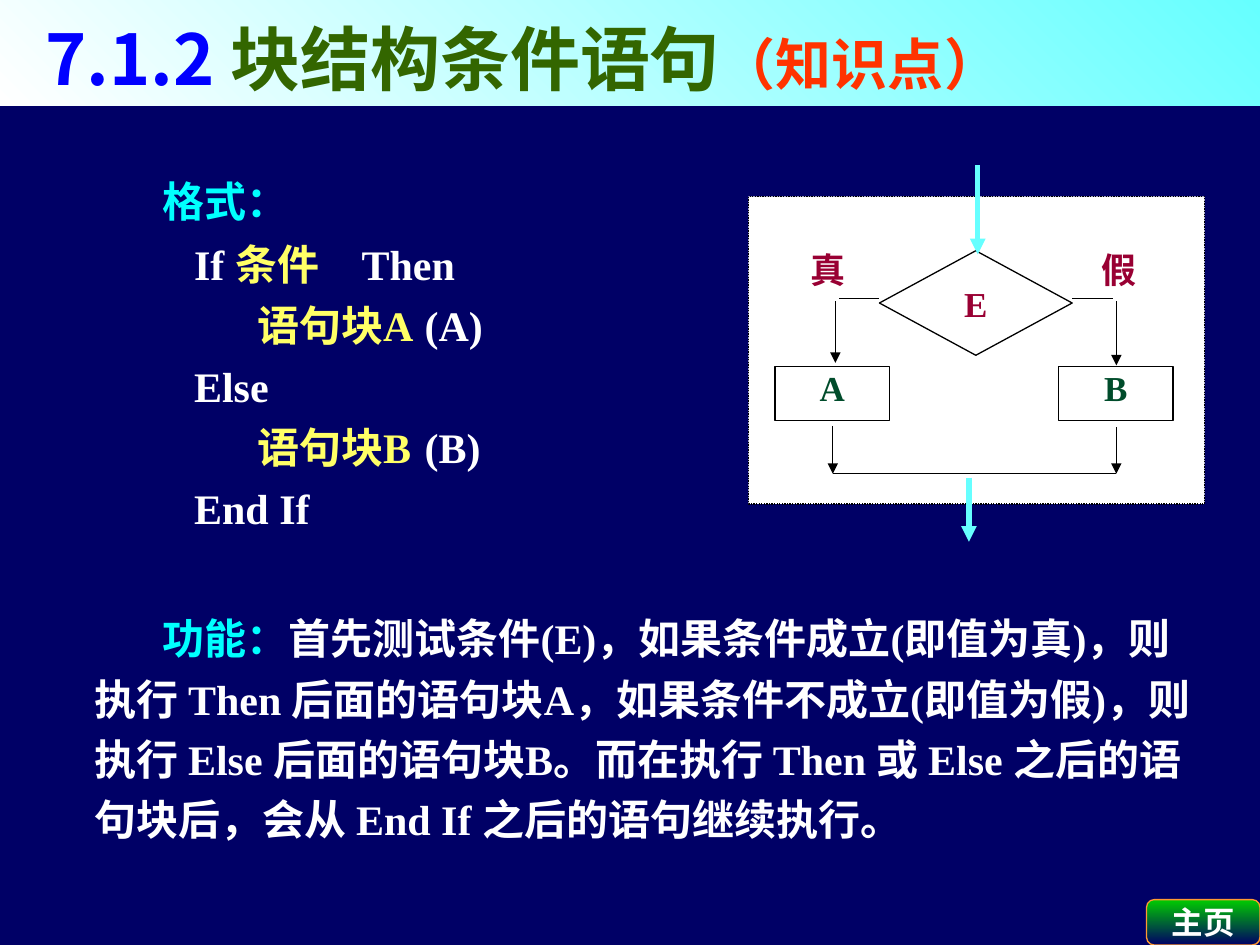
from lxml import etree
from pptx import Presentation
from pptx.dml.color import RGBColor
from pptx.enum.dml import MSO_LINE
from pptx.enum.shapes import MSO_CONNECTOR, MSO_SHAPE
from pptx.enum.text import MSO_ANCHOR, MSO_AUTO_SIZE, PP_ALIGN
from pptx.oxml.ns import qn
from pptx.util import Inches, Pt

RECT, ROUND, DIAMOND = MSO_SHAPE.RECTANGLE, MSO_SHAPE.ROUNDED_RECTANGLE, MSO_SHAPE.DIAMOND
STRAIGHT, DOT = MSO_CONNECTOR.STRAIGHT, MSO_LINE.ROUND_DOT
TOP, MIDDLE, BOTTOM = MSO_ANCHOR.TOP, MSO_ANCHOR.MIDDLE, MSO_ANCHOR.BOTTOM
LEFT, CENTER = PP_ALIGN.LEFT, PP_ALIGN.CENTER
NO_FIT = MSO_AUTO_SIZE.NONE

NAVY = RGBColor(0x00, 0x00, 0x66)
WHITE = RGBColor(0xFF, 0xFF, 0xFF)
BLACK = RGBColor(0x00, 0x00, 0x00)
AQUA = RGBColor(0x66, 0xFF, 0xFF)
CYAN = RGBColor(0x00, 0xFF, 0xFF)
YELLOW = RGBColor(0xFF, 0xFF, 0x66)
BLUE = RGBColor(0x00, 0x00, 0xFF)
OLIVE = RGBColor(0x33, 0x66, 0x00)
RED = RGBColor(0xFF, 0x33, 0x00)
WINE = RGBColor(0x99, 0x00, 0x33)
PINE = RGBColor(0x00, 0x4C, 0x2B)
GREEN = RGBColor(0x00, 0xCC, 0x00)
ORANGE = RGBColor(0xFF, 0x99, 0x33)

SERIF, SANS, JP = "Times New Roman", "Noto Sans CJK SC", "Noto Sans CJK JP"


def cell(count):
    """Length of some cells of the 100 by 75 slide grid."""
    return Inches(count / 10)


def put(shape, box):
    """Move a shape to a box given in grid cells."""
    shape.left, shape.top, shape.width, shape.height = map(cell, box)


def blend(shape, first, last, angle):
    """Fill a shape with a two-colour gradient."""
    shape.fill.gradient()
    shape.fill.gradient_angle = angle
    for stop, color, place in zip(shape.fill.gradient_stops, (first, last), (0, 1)):
        stop.color.rgb, stop.position = color, place


def write(para, text, color, size, latin=SERIF, asian=SANS):
    """Add one bold run."""
    run = para.add_run()
    run.text = text
    font = run.font
    font.size, font.bold, font.name = Pt(size), True, latin
    font.color.rgb = color
    etree.SubElement(run._r.get_or_add_rPr(), qn("a:ea"), typeface=asian)


def indent(para, left, first, tabs=()):
    """Set indents and tab stops, without a bullet."""
    props = para._p.get_or_add_pPr()
    props.set("marL", str(cell(left)))
    props.set("indent", str(cell(first)))
    etree.SubElement(props, qn("a:buNone"))
    if tabs:
        stops = etree.SubElement(props, qn("a:tabLst"))
        for tab in tabs:
            etree.SubElement(stops, qn("a:tab"), pos=str(cell(tab)), algn="l")


def head(slide, box):
    """Fill the title bar."""
    title = slide.shapes.title
    put(title, box)
    blend(title, WHITE, AQUA, 45)
    frame = title.text_frame
    frame.auto_size, frame.vertical_anchor = NO_FIT, BOTTOM
    para = frame.paragraphs[0]
    para.alignment = LEFT
    indent(para, 2.6, 0)
    write(para, "7.1.2 ", BLUE, 40, JP, JP)
    write(para, "块结构条件语句", OLIVE, 40, SANS)
    write(para, "（知识点）", RED, 32, JP, JP)


def body(slide, box):
    """Write the syntax lines and the explanation."""
    holder = slide.placeholders[1]
    put(holder, box)
    frame = holder.text_frame
    frame.auto_size, frame.vertical_anchor = NO_FIT, TOP
    frame.margin_top = cell(2.4)
    tale = ("首先测试条件(E)，如果条件成立(即值为真)，则执行 Then 后面的语句块A，"
            "如果条件不成立(即值为假)，则执行 Else 后面的语句块B。而在执行 Then 或 "
            "Else 之后的语句块后，会从 End If 之后的语句继续执行。")
    rows = [
        (0, 9.2, 0, 28.8, [("格式：", CYAN)]),
        (0, 11.7, 7.5, 28.8, [("If\t", WHITE), ("条件\t", YELLOW), ("Then", WHITE)]),
        (0, 16.7, 6, 28.8, [("语句块A", YELLOW), ("\t(A)", WHITE)]),
        (0, 11.7, 6, 28.8, [("Else", WHITE)]),
        (0, 16.7, 6, 28.8, [("语句块B", YELLOW), ("\t(B)", WHITE)]),
        (0, 11.7, 6, 28.8, [("End If", WHITE)]),
        (3.8, 5.4, 40, 34.5, [("功能：", CYAN), (tale, WHITE)]),
    ]
    for i, (left, first, gap, pitch, runs) in enumerate(rows):
        para = frame.add_paragraph() if i else frame.paragraphs[0]
        para.space_before, para.line_spacing = Pt(gap), Pt(pitch)
        indent(para, left, first, () if left else (17.5, 27.2, 37.3))
        for text, color in runs:
            write(para, text, color, 24)


def node(group, kind, box, edge, text="", color=BLACK, align=CENTER, pad=0.1):
    """Add one white shape of the flow chart."""
    shape = group.shapes.add_shape(kind, *map(cell, box))
    shape.shadow.inherit = False
    shape.fill.solid()
    shape.fill.fore_color.rgb = WHITE
    shape.line.color.rgb, shape.line.width = edge, Pt(0.75)
    if text:
        frame = shape.text_frame
        frame.word_wrap = True
        frame.margin_left, frame.margin_right = cell(pad), cell(0.1)
        frame.margin_top = frame.margin_bottom = 0
        frame.vertical_anchor = MIDDLE if kind == DIAMOND else TOP
        frame.paragraphs[0].alignment = align
        write(frame.paragraphs[0], text, color, 20)
    return shape


def link(group, ends, color=BLACK, width=0.75, arrow=True):
    """Add one line of the flow chart."""
    line = group.shapes.add_connector(STRAIGHT, *map(cell, ends))
    line.line.color.rgb, line.line.width = color, Pt(width)
    if arrow:
        etree.SubElement(line.line._get_or_add_ln(), qn("a:tailEnd"), type="triangle")
    etree.SubElement(line._element.spPr, qn("a:effectLst"))


def flow(slide, box):
    """Draw the branch chart inside its box."""
    group = slide.shapes.add_group_shape()
    left, top = box[:2]
    frame = node(group, RECT, box, BLACK)
    frame.line.dash_style = DOT
    nodes = [
        (RECT, 4.8, 4.1, 6.7, 4.3, WHITE, "真", WINE, LEFT, 0.1),
        (RECT, 25.7, 4.1, 8, 3.9, WHITE, "假", WINE, LEFT, 2.3),
        (RECT, 2.1, 13.5, 9.1, 4.3, BLACK, "A", PINE, CENTER, 0.1),
        (RECT, 24.6, 13.5, 9.1, 4.3, BLACK, "B", PINE, CENTER, 0.1),
        (DIAMOND, 10.4, 4.3, 15.3, 8.3, BLACK, "E", WINE, CENTER, 0.1),
    ]
    for kind, x, y, w, h, *rest in nodes:
        node(group, kind, (left + x, top + y, w, h), *rest)
    links = [
        (25.7, 8.1, 28.9, 8.1, BLACK, 1, False),
        (7.2, 8.1, 10.4, 8.1, BLACK, 1, False),
        (29.2, 8.3, 29.2, 13.4),
        (6.9, 8.3, 6.9, 13.2),
        (18.2, -2.5, 18.2, 4.6, AQUA, 3),
        (6.7, 18.2, 6.7, 22),
        (29.2, 18.3, 29.2, 22),
        (6.7, 22, 29.2, 22, BLACK, 0.75, False),
        (17.5, 22.3, 17.5, 27.4, AQUA, 3),
    ]
    for x, y, right, low, *rest in links:
        link(group, (left + x, top + y, left + right, top + low), *rest)


def button(slide, box):
    """Add the home button."""
    shape = slide.shapes.add_shape(ROUND, *map(cell, box))
    shape.shadow.inherit = False
    blend(shape, GREEN, NAVY, 270)
    shape.line.color.rgb, shape.line.width = ORANGE, Pt(0.75)
    frame = shape.text_frame
    frame.word_wrap, frame.vertical_anchor = False, MIDDLE
    frame.paragraphs[0].alignment = CENTER
    write(frame.paragraphs[0], "主页", WHITE, 18)


def main():
    """Build and save the slide."""
    deck = Presentation()
    deck.slide_width, deck.slide_height = cell(100), cell(75)
    slide = deck.slides.add_slide(deck.slide_layouts[1])
    slide.background.fill.solid()
    slide.background.fill.fore_color.rgb = NAVY
    button(slide, (91, 71.4, 9, 3.6))
    body(slide, (2.7, 11.5, 93.7, 58.3))
    flow(slide, (59.4, 15.6, 36.2, 24.4))
    head(slide, (0, 0, 100, 8.4))
    deck.save("out.pptx")


main()
